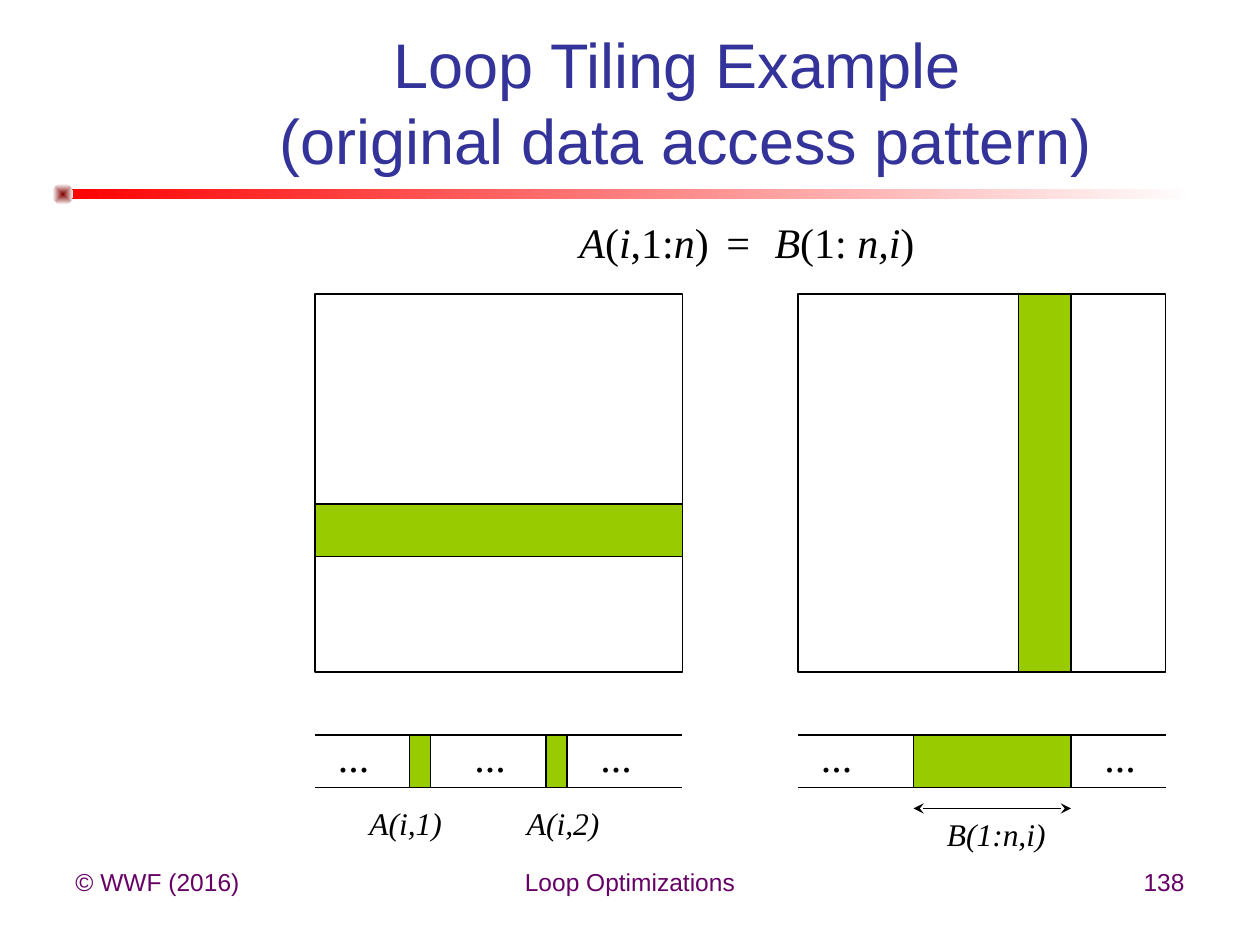
from lxml.etree import SubElement
from pptx import Presentation
from pptx.dml.color import RGBColor
from pptx.enum.shapes import MSO_CONNECTOR, MSO_SHAPE
from pptx.enum.text import MSO_ANCHOR, MSO_AUTO_SIZE, PP_ALIGN
from pptx.oxml.ns import qn
from pptx.util import Pt

BLACK = RGBColor(0x00, 0x00, 0x00)
WHITE = RGBColor(0xFF, 0xFF, 0xFF)
GREEN = RGBColor(0x99, 0xCC, 0x00)
RED = RGBColor(0xFF, 0x00, 0x00)
MAROON = RGBColor(0x80, 0x00, 0x00)
INDIGO = RGBColor(0x33, 0x33, 0x99)
PURPLE = RGBColor(0x66, 0x00, 0x66)

TITLE = {"name": "Arial", "size": Pt(36), "color": INDIGO}
FOOTER = {"name": "Arial", "size": Pt(14), "color": PURPLE}
FORMULA = {"name": "Times New Roman", "size": Pt(24), "color": BLACK}
LABEL = {"name": "Times New Roman", "size": Pt(18), "color": BLACK, "italic": True}


def apply_font(font, style):
    """Set font attributes from a dict of format values."""
    for key, value in style.items():
        if key == "color":
            font.color.rgb = value
        else:
            setattr(font, key, value)


def add_text(page, box, spans, style, align=PP_ALIGN.LEFT, grow=True):
    """Add a text box holding one paragraph of (text, format) spans."""
    frame = page.shapes.add_textbox(*map(Pt, box)).text_frame
    frame.word_wrap = True
    frame.auto_size = MSO_AUTO_SIZE.SHAPE_TO_FIT_TEXT if grow else MSO_AUTO_SIZE.NONE
    paragraph = frame.paragraphs[0]
    paragraph.alignment = align
    for text, extra in spans:
        span = paragraph.add_run()
        span.text = text
        apply_font(span.font, {**style, **extra})
    return paragraph


def add_block(page, box, color):
    """Add a filled rectangle with a thin black outline."""
    block = page.shapes.add_shape(MSO_SHAPE.RECTANGLE, *map(Pt, box))
    block.shadow.inherit = False
    block.fill.solid()
    block.fill.fore_color.rgb = color
    block.line.color.rgb = BLACK
    block.line.width = Pt(0.75)


def add_line(page, left, right, y, arrows=False):
    """Add a horizontal line, with arrowheads at both ends if asked."""
    line = page.shapes.add_connector(MSO_CONNECTOR.STRAIGHT, Pt(left), Pt(y), Pt(right), Pt(y))
    line.line.color.rgb = BLACK
    line.line.width = Pt(0.75)
    if arrows:
        outline = line.line._get_or_add_ln()
        for end in ("a:headEnd", "a:tailEnd"):
            SubElement(outline, qn(end), type="stealth")
    SubElement(line.element.spPr, qn("a:effectLst"))


def add_gradient(page, kind, box, color):
    """Add an outline-free shape fading from a colour to white."""
    shape = page.shapes.add_shape(kind, *map(Pt, box))
    shape.shadow.inherit = False
    shape.line.fill.background()
    shape.fill.gradient()
    shape.fill.gradient_angle = 0
    for stop, position, shade in zip(shape.fill.gradient_stops, (0, 1), (color, WHITE)):
        stop.position = position
        stop.color.rgb = shade
    return shape


def add_header(page, box):
    """Place the title and the fading rule with its round marker."""
    left, top, width, height = box
    add_gradient(page, MSO_SHAPE.RECTANGLE, (left, top + 78, 648, 6), RED)
    marker = add_gradient(page, MSO_SHAPE.OVAL, (left - 6, top + 75, 12, 12), MAROON)
    gradient = marker.element.spPr.find(qn("a:gradFill"))
    gradient.remove(gradient.find(qn("a:lin")))
    radial = SubElement(gradient, qn("a:path"))
    radial.set("path", "shape")
    SubElement(radial, qn("a:fillToRect"), dict.fromkeys("ltrb", "50000"))

    title = page.shapes.title
    title.left, title.top, title.width, title.height = map(Pt, (left + 48, top, width - 48, height))
    frame = title.text_frame
    frame.text = "Loop Tiling Example\v (original data access pattern)"
    frame.word_wrap = True
    frame.auto_size = MSO_AUTO_SIZE.NONE
    frame.vertical_anchor = MSO_ANCHOR.MIDDLE
    paragraph = frame.paragraphs[0]
    paragraph.alignment = PP_ALIGN.CENTER
    for span in paragraph.runs:
        apply_font(span.font, TITLE)


def add_formula(page, box):
    """Place the array assignment with italic variables."""
    upright, slanted = {"italic": False}, {"italic": True}
    spans = [("A", slanted), ("(", upright), ("i", slanted), (",1:", upright),
             ("n", slanted), (")", upright), (" = ", upright), ("B", slanted),
             ("(1: ", upright), ("n,i", slanted), (")", upright)]
    paragraph = add_text(page, box, spans, FORMULA)
    equals = paragraph.runs[6]
    equals.font._element.set("spc", "400")


def add_matrix(page, box, band):
    """Place a matrix and its accessed band, given relative to the matrix."""
    left, top, width, height = box
    x, y, band_width, band_height = band
    add_block(page, box, WHITE)
    add_block(page, (left + x, top + y, band_width, band_height), GREEN)


def add_memory(page, box, cells, gaps, labels):
    """Place a memory strip with accessed cells, ellipses and labels."""
    left, top, width, height = box
    for y in (top, top + height):
        add_line(page, left, left + width, y)
    for x, cell_width in cells:
        add_block(page, (left + x, top, cell_width, height), GREEN)
    for x in gaps:
        add_text(page, (left + x, top - 6, 36, 36), [("...", {})], FORMULA)
    for text, x, y in labels:
        add_text(page, (left + x, top + y, 90, 29), [(text, {})], LABEL)


def add_footer(page, box):
    """Place the copyright line, the topic and the page number."""
    left, top, width, height = box
    parts = [("© WWF (2016)", 0, 168, PP_ALIGN.LEFT),
             ("Loop Optimizations", 210, 228, PP_ALIGN.CENTER),
             ("138", width - 168, 168, PP_ALIGN.RIGHT)]
    for text, x, part_width, align in parts:
        add_text(page, (left + x, top, part_width, height), [(text, {})], FOOTER, align, False)


def main():
    """Build the slide and save it."""
    deck = Presentation()
    deck.slide_width, deck.slide_height = Pt(720), Pt(540)
    page = deck.slides.add_slide(deck.slide_layouts[5])
    add_header(page, (36, 30, 654, 56))
    add_formula(page, (324, 120, 276, 36))
    add_matrix(page, (180, 168, 210, 216), (0, 120, 210, 30))
    add_matrix(page, (456, 168, 210, 216), (126, 0, 30, 216))
    add_memory(page, (180, 420, 210, 30), [(54, 12), (132, 12)], (6, 84, 156),
               [("A(i,1)", 24, 36), ("A(i,2)", 114, 36)])
    add_memory(page, (456, 420, 210, 30), [(66, 90)], (6, 168), [("B(1:n,i)", 78, 42)])
    add_line(page, 522, 612, 462, arrows=True)
    add_footer(page, (36, 492, 648, 37))
    deck.save("out.pptx")


if __name__ == "__main__":
    main()
